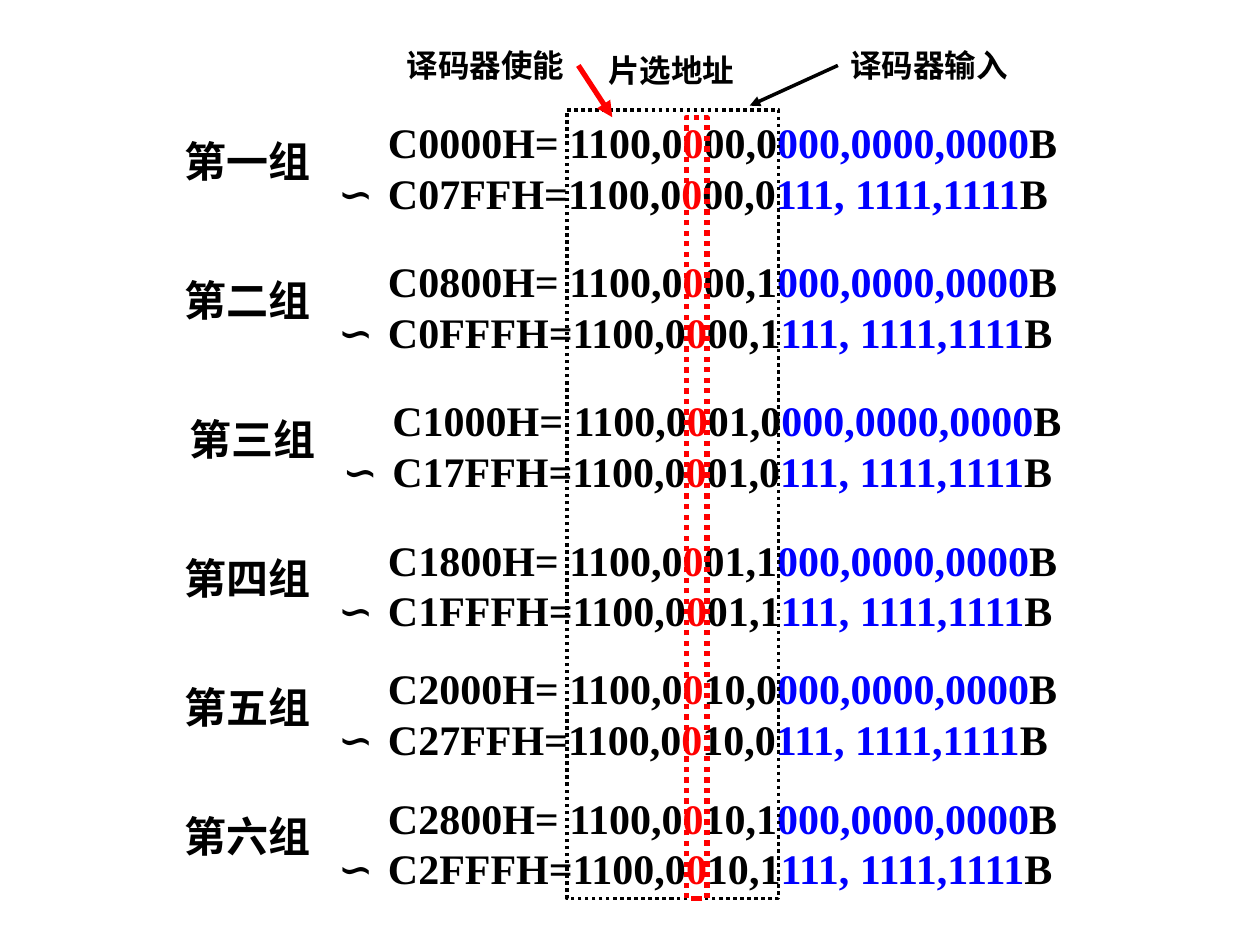
from pptx import Presentation
from pptx.dml.color import RGBColor
from pptx.enum.dml import MSO_LINE_DASH_STYLE as Dash
from pptx.enum.shapes import MSO_CONNECTOR_TYPE as Connector, MSO_SHAPE as Shape
from pptx.enum.text import MSO_ANCHOR as Anchor
from pptx.oxml.ns import qn
from pptx.util import Pt
from lxml.etree import SubElement

COLORS = {"black": "000000", "red": "FF0000", "blue": "0000FF"}
FONT = "Times New Roman"

deck = Presentation()
deck.slide_width, deck.slide_height = Pt(720), Pt(540)
slide = deck.slides.add_slide(deck.slide_layouts[6])


def add_text(left, top, width, height, lines, size=24, spacing=None):
    frame = slide.shapes.add_textbox(Pt(left), Pt(top), Pt(width), Pt(height)).text_frame
    frame.word_wrap = True
    frame.vertical_anchor = Anchor.MIDDLE
    for number, pieces in enumerate(lines):
        line = frame.add_paragraph() if number else frame.paragraphs[0]
        if spacing:
            line.line_spacing = Pt(spacing)
        for words, color in pieces:
            run = line.add_run()
            run.text = words
            run.font.name = FONT
            run.font.size = Pt(size)
            run.font.bold = True
            run.font.color.rgb = RGBColor.from_string(COLORS[color])


def style_line(line, color, width):
    line.color.rgb = RGBColor.from_string(COLORS[color])
    line.width = Pt(width)


FIRST_ADDRESS, GROUP_SIZE = 0xC0000, 0x800
group_tops = [62.8, 142.2, 221.6, 301.2, 374.8, 448.6]
for index, (numeral, top) in enumerate(zip("一二三四五六", group_tops)):
    shift = 2.5 if numeral == "三" else 0
    start = FIRST_ADDRESS + index * GROUP_SIZE
    end = start + GROUP_SIZE - 1
    select_bits = f"{index // 2:02b},{index % 2}"
    address_lines = [
        [(prefix, "black"), ("0", "red"), (select_bits, "black"), (low_bits, "blue"), ("B", "black")]
        for prefix, low_bits in [
            (f"{start:X}H= 1100,0", "000,0000,0000"),
            (f"{end:X}H=1100,0", "111, 1111,1111"),
        ]
    ]
    add_text(214.6 + shift, top, 407, 65.5, address_lines, spacing=29)
    add_text(186.2 + shift, top + 29.2, 39, 36, [[("∽", "black")]])
    add_text(98.6 + shift, top + 11, 88, 36, [[(f"第{numeral}组", "black")]])

for left, top, width, height, color, weight in [
    (324, 62.8, 121, 450.7, "black", 2),
    (392.2, 67, 11.8, 446.5, "red", 3),
]:
    frame_box = slide.shapes.add_shape(Shape.RECTANGLE, Pt(left), Pt(top), Pt(width), Pt(height))
    frame_box.shadow.inherit = False
    frame_box.fill.background()
    style_line(frame_box.line, color, weight)
    frame_box.line.dash_style = Dash.ROUND_DOT

for caption, left, top, width in [
    ("片选地址", 340.6, 25.4, 88),
    ("译码器输入", 478.8, 22.8, 106),
    ("译码器使能", 225.4, 22.8, 106),
]:
    add_text(left, top, width, 28.8, [[(caption, "black")]], size=18)

for x1, y1, x2, y2, color, weight in [
    (478.8, 37.4, 428.4, 60.4, "black", 2),
    (330.5, 37.4, 349.9, 67, "red", 3),
]:
    arrow = slide.shapes.add_connector(Connector.STRAIGHT, Pt(x1), Pt(y1), Pt(x2), Pt(y2))
    style_line(arrow.line, color, weight)
    SubElement(arrow.line._get_or_add_ln(), qn("a:tailEnd"), type="triangle")
    SubElement(arrow._element.spPr, qn("a:effectLst"))

deck.save("out.pptx")
